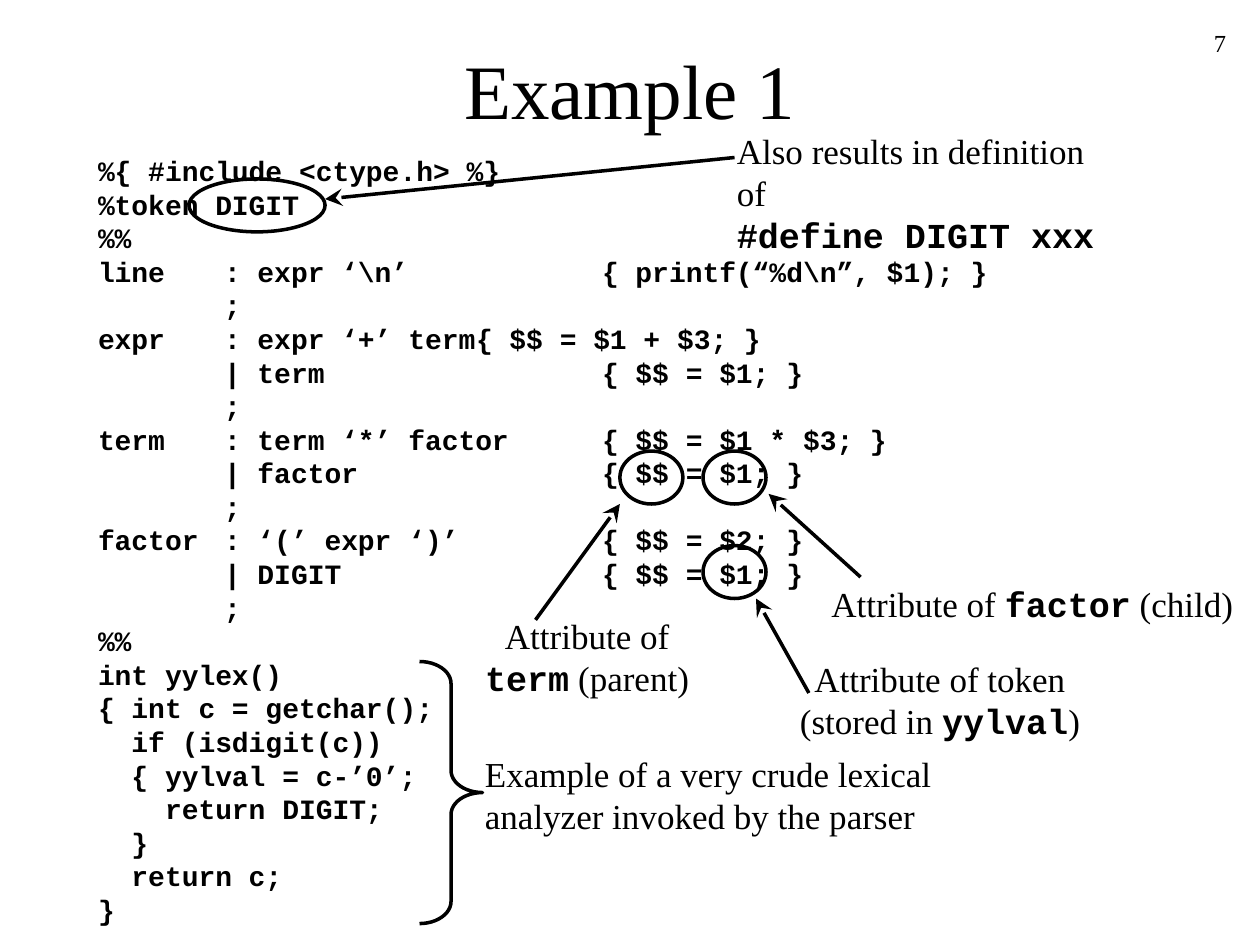
from lxml import etree
from pptx import Presentation
from pptx.dml.color import RGBColor
from pptx.enum.shapes import MSO_CONNECTOR, MSO_SHAPE
from pptx.enum.text import MSO_ANCHOR, MSO_AUTO_SIZE, PP_ALIGN
from pptx.oxml.ns import qn
from pptx.util import Inches, Pt

LEFT, CENTER, RIGHT = PP_ALIGN.LEFT, PP_ALIGN.CENTER, PP_ALIGN.RIGHT
TOP, MIDDLE = MSO_ANCHOR.TOP, MSO_ANCHOR.MIDDLE
NO_AUTOFIT = MSO_AUTO_SIZE.NONE
GROW = MSO_AUTO_SIZE.SHAPE_TO_FIT_TEXT
ELLIPSE, BRACE = MSO_SHAPE.OVAL, MSO_SHAPE.RIGHT_BRACE
STRAIGHT = MSO_CONNECTOR.STRAIGHT

INK = "000000"
LINE_WIDTH = Pt(2)
TAB_STOPS = range(8)  # one per inch
SERIF = {"name": "Times New Roman", "bold": False}
MONO = {"name": "Courier New", "bold": True}

DECLARATIONS = "%{ #include <ctype.h> %}"
GRAMMAR = "\n".join([
    "%token DIGIT",
    "%%",
    "line\t: expr ‘\\n’\t\t{ printf(“%d\\n”, $1); }",
    "\t;",
    "expr\t: expr ‘+’ term\t{ $$ = $1 + $3; }",
    "\t| term\t\t\t{ $$ = $1; }",
    "\t;",
    "term\t: term ‘*’ factor\t{ $$ = $1 * $3; }",
    "\t| factor\t\t{ $$ = $1; }",
    "\t;",
    "factor\t: ‘(’ expr ‘)’\t\t{ $$ = $2; }",
    "\t| DIGIT\t\t\t{ $$ = $1; }",
    "\t;",
    "%%",
])
LEXER = "\n".join([
    "int yylex()",
    "{ int c = getchar();",
    "  if (isdigit(c))",
    "  { yylval = c-’0’;",
    "    return DIGIT;",
    "  }",
    "  return c;",
    "}",
])

# Callouts: box, alignment, wrapping, styled pieces
CALLOUTS = [
    ((5.75, 0.98, 3.24, 0.77), LEFT, True,
     [("Also results in definition of\n", SERIF), ("#define DIGIT xxx", MONO)]),
    ((6.25, 5.17, 2.42, 0.77), CENTER, False,
     [("Attribute of token\n(stored in ", SERIF), ("yylval", MONO), (")", SERIF)]),
    ((3.75, 4.83, 1.82, 0.77), CENTER, False,
     [("Attribute of\n", SERIF), ("term", MONO), (" (parent)", SERIF)]),
    ((6.5, 4.57, 3.39, 0.44), LEFT, False,
     [("Attribute of ", SERIF), ("factor", MONO), (" (child)", SERIF)]),
    ((3.75, 5.92, 3.75, 0.77), LEFT, False,
     [("Example of a very crude lexical\nanalyzer invoked by the parser", SERIF)]),
]
RINGS = [
    (1.5, 1.42, 1.08, 0.42),
    (4.92, 3.58, 0.5, 0.42),
    (5.58, 3.58, 0.5, 0.42),
    (5.58, 4.33, 0.5, 0.42),
]
ARROWS = [
    ((5.83, 1.25), (2.58, 1.58)),
    ((6.42, 5.5), (6, 4.75)),
    ((4.25, 4.92), (4.92, 4)),
    ((6.83, 4.58), (6.1, 3.92)),
]


def color(hex_string):
    return RGBColor.from_string(hex_string)


def inches(values):
    return [Inches(value) for value in values]


def set_attributes(target, values):
    for name, value in values.items():
        setattr(target, name, value)


def add_tab_stops(paragraph):
    properties = paragraph._p.get_or_add_pPr()
    tab_list = etree.SubElement(properties, qn("a:tabLst"))
    for position in inches(TAB_STOPS):
        etree.SubElement(tab_list, qn("a:tab"), pos=str(position), algn="l")


def add_pieces(paragraph, pieces, size):
    """Add styled runs, with a line break at each newline."""
    for text, font in pieces:
        for index, line in enumerate(text.split("\n")):
            if index:
                paragraph.add_line_break()
            if line:
                run = paragraph.add_run()
                run.text = line
                set_attributes(run.font, {**font, "size": Pt(size)})
                run.font.color.rgb = color(INK)


def add_text(slide, box, paragraphs, size, alignment=LEFT, wrap=True,
             anchor=TOP, auto_size=NO_AUTOFIT):
    frame = slide.shapes.add_textbox(*inches(box)).text_frame
    set_attributes(frame, {"word_wrap": wrap, "vertical_anchor": anchor,
                           "auto_size": auto_size})
    for index, pieces in enumerate(paragraphs):
        paragraph = frame.add_paragraph() if index else frame.paragraphs[0]
        paragraph.alignment = alignment
        add_tab_stops(paragraph)
        add_pieces(paragraph, pieces, size)


def style_line(shape):
    shape.line.color.rgb = color(INK)
    shape.line.width = LINE_WIDTH


def add_outline(slide, kind, box):
    shape = slide.shapes.add_shape(kind, *inches(box))
    shape.shadow.inherit = False
    shape.fill.background()
    style_line(shape)
    return shape


def add_arrow(slide, start, end):
    arrow = slide.shapes.add_connector(STRAIGHT, *inches(start + end))
    style_line(arrow)
    etree.SubElement(arrow.line._get_or_add_ln(), qn("a:tailEnd"),
                     type="stealth", w="lg", len="lg")
    etree.SubElement(arrow._element.spPr, qn("a:effectLst"))


def add_heading(slide, title_box, number_box):
    add_text(slide, title_box, [[("Example 1", SERIF)]], 44, CENTER, anchor=MIDDLE)
    add_text(slide, number_box, [[("7", SERIF)]], 14, RIGHT)


def add_listing(slide, box):
    paragraphs = [[(text, MONO)] for text in (DECLARATIONS, GRAMMAR, LEXER)]
    add_text(slide, box, paragraphs, 16, wrap=False, auto_size=GROW)


def add_annotations(slide, brace_box):
    # Rings around the annotated symbols
    for box in RINGS:
        add_outline(slide, ELLIPSE, box)
    # Brace beside the lexical analyzer
    brace = add_outline(slide, BRACE, brace_box)
    brace.adjustments[0] = 0.35
    # Arrows from the callouts to the rings
    for start, end in ARROWS:
        add_arrow(slide, start, end)
    # Callout texts
    for box, alignment, wrap, pieces in CALLOUTS:
        add_text(slide, box, [pieces], 20, alignment, wrap, auto_size=GROW)


def main():
    presentation = Presentation()
    presentation.slide_width, presentation.slide_height = inches((10, 7.5))
    slide = presentation.slides.add_slide(presentation.slide_layouts[6])
    add_heading(slide, (0.75, 0.08, 8.5, 1.25), (7.75, 0.17, 2.08, 0.5))
    add_listing(slide, (0.68, 1.17, 7.26, 6.23))
    add_annotations(slide, (3.33, 5.25, 0.5, 2.08))
    presentation.save("out.pptx")


if __name__ == "__main__":
    main()
